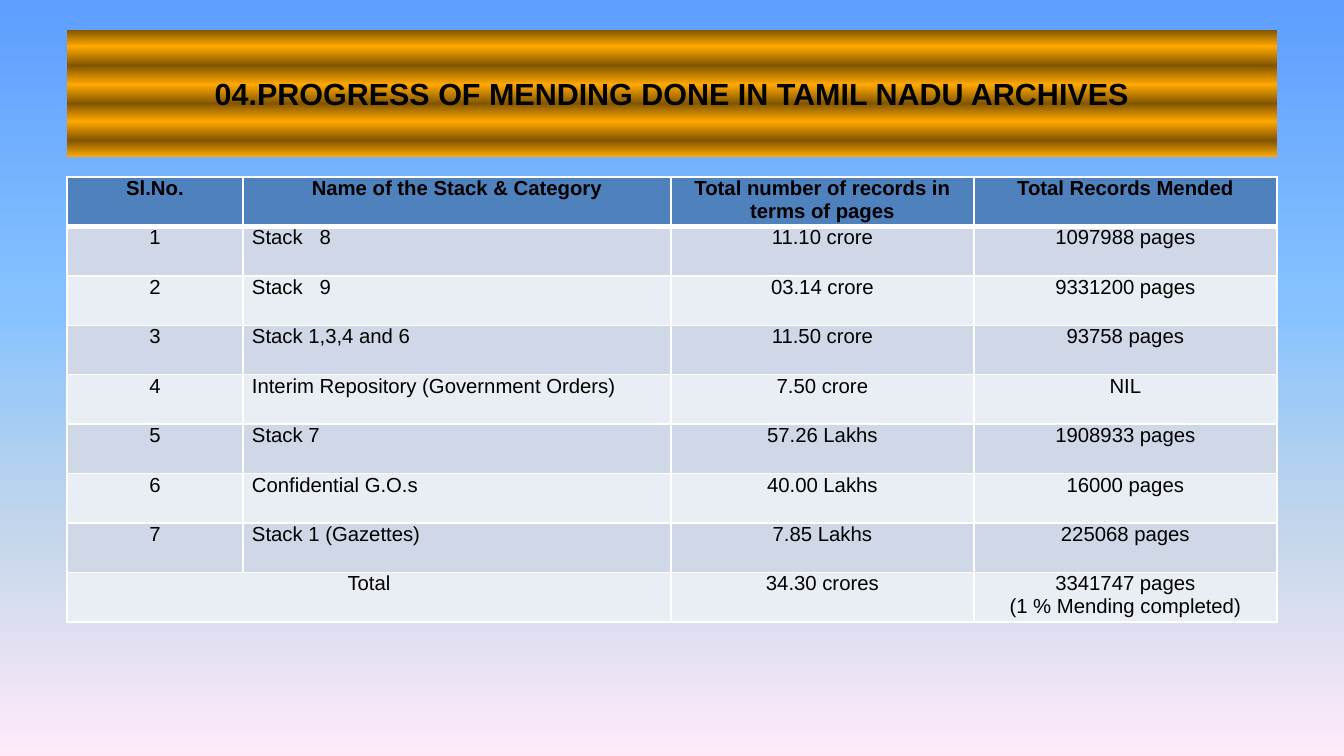
from dataclasses import dataclass
from lxml.etree import SubElement
from pptx import Presentation
from pptx.dml.color import RGBColor
from pptx.enum.shapes import MSO_SHAPE as Shape
from pptx.enum.text import MSO_ANCHOR as Anchor, PP_ALIGN as Align
from pptx.oxml.ns import qn
from pptx.util import Emu, Pt

SCALE = 914400 / 122


@dataclass(frozen=True)
class Theme:
    """Colours, font and type sizes of the slide."""
    font: str = "Arial"
    title_size: int = 18
    table_size: int = 12
    text: str = "000000"
    border: str = "FFFFFF"
    header: str = "4F81BD"
    bands: tuple = ("D0D8E8", "E9EDF4")
    sky: tuple = ((0, "5E9EFF"), (40, "85C2FF"), (70, "C4D6EB"), (100, "FFEBFA"))
    gold_positions: tuple = (0, 13, 28, 43, 58, 72, 87, 100)
    golds: tuple = ("825600", "FFA800")


THEME = Theme()
TITLE = "04.PROGRESS OF MENDING DONE IN TAMIL NADU ARCHIVES"
COLUMN_WIDTHS = (176, 428, 303, 303)
ROWS = (
    ("Sl.No.", "Name of the Stack & Category",
     "Total number of records in terms of pages", "Total Records Mended"),
    ("1", "Stack   8", "11.10 crore", "1097988 pages"),
    ("2", "Stack   9", "03.14 crore", "9331200 pages"),
    ("3", "Stack 1,3,4 and 6", "11.50 crore", "93758 pages"),
    ("4", "Interim Repository (Government Orders)", "7.50 crore", "NIL"),
    ("5", "Stack 7", "57.26 Lakhs", "1908933 pages"),
    ("6", "Confidential G.O.s", "40.00 Lakhs", "16000 pages"),
    ("7", "Stack 1 (Gazettes)", "7.85 Lakhs", "225068 pages"),
    ("Total", "", "34.30 crores", "3341747 pages\n(1 % Mending completed)"),
)


def px(length):
    """Turn pixels into EMU."""
    return Emu(round(length * SCALE))


def set_gradient(fill, owner, stops):
    """Fill with a top-to-bottom gradient of (percent, colour) stops."""
    fill.gradient()
    fill.gradient_angle = 270
    stop_list = owner.find(".//" + qn("a:gsLst"))
    for stop in list(stop_list):
        stop_list.remove(stop)
    for percent, colour in stops:
        stop = SubElement(stop_list, qn("a:gs"), pos=str(percent * 1000))
        SubElement(stop, qn("a:srgbClr"), val=colour)


def write_text(frame, text, size, bold=False, align=Align.CENTER):
    """Write text, one paragraph a line, in the theme font."""
    frame.text = text
    for para in frame.paragraphs:
        para.alignment = align
        para.font.name = THEME.font
        para.font.size = Pt(size)
        para.font.bold = bold
        para.font.color.rgb = RGBColor.from_string(THEME.text)


def add_banner(page, left, top, width, height):
    """Add the gold title banner."""
    banner = page.shapes.add_shape(
        Shape.RECTANGLE, px(left), px(top), px(width), px(height))
    banner.shadow.inherit = False
    banner.line.fill.background()
    stops = [(percent, THEME.golds[index % 2])
             for index, percent in enumerate(THEME.gold_positions)]
    set_gradient(banner.fill, banner.element, stops)
    frame = banner.text_frame
    frame.word_wrap = True
    frame.vertical_anchor = Anchor.MIDDLE
    frame.margin_left = frame.margin_right = frame.margin_top = frame.margin_bottom = 0
    write_text(frame, TITLE, THEME.title_size, bold=True)


def set_borders(cell, **widths):
    """Draw the cell edges L, R, T and B with widths in points."""
    properties = cell._tc.get_or_add_tcPr()
    for edge, width in widths.items():
        line = SubElement(properties, qn(f"a:ln{edge}"), w=str(Pt(width)))
        solid = SubElement(line, qn("a:solidFill"))
        SubElement(solid, qn("a:srgbClr"), val=THEME.border)


def style_cell(cell, row, column, text):
    """Give one table cell its borders, fill and text."""
    set_borders(cell, L=1, R=1, T=3 if row == 1 else 1, B=3 if row == 0 else 1)
    colour = THEME.bands[(row - 1) % 2] if row else THEME.header
    cell.fill.solid()
    cell.fill.fore_color.rgb = RGBColor.from_string(colour)
    cell.margin_left = cell.margin_right = px(9)
    cell.margin_top = cell.margin_bottom = 0
    align = Align.JUSTIFY if column == 1 and row else Align.CENTER
    write_text(cell.text_frame, text, THEME.table_size, row == 0, align)


def add_records_table(page, left, top, height):
    """Add the table of stacks, with the total label across two columns."""
    table = page.shapes.add_table(
        len(ROWS), len(COLUMN_WIDTHS), px(left), px(top),
        px(sum(COLUMN_WIDTHS)), px(height)).table
    table.horz_banding = False
    for column, width in zip(table.columns, COLUMN_WIDTHS):
        column.width = px(width)
    for row, texts in enumerate(ROWS):
        for column, text in enumerate(texts):
            style_cell(table.cell(row, column), row, column, text)
    total = len(ROWS) - 1
    table.cell(total, 0).merge(table.cell(total, 1))


def main():
    """Build and save the slide."""
    deck = Presentation()
    deck.slide_width, deck.slide_height = px(1344), px(756)
    page = deck.slides.add_slide(deck.slide_layouts[6])
    set_gradient(page.background.fill, page.element, THEME.sky)
    add_banner(page, 67, 30, sum(COLUMN_WIDTHS), 127)
    add_records_table(page, 67, 177, 445)
    deck.save("out.pptx")


if __name__ == "__main__":
    main()
